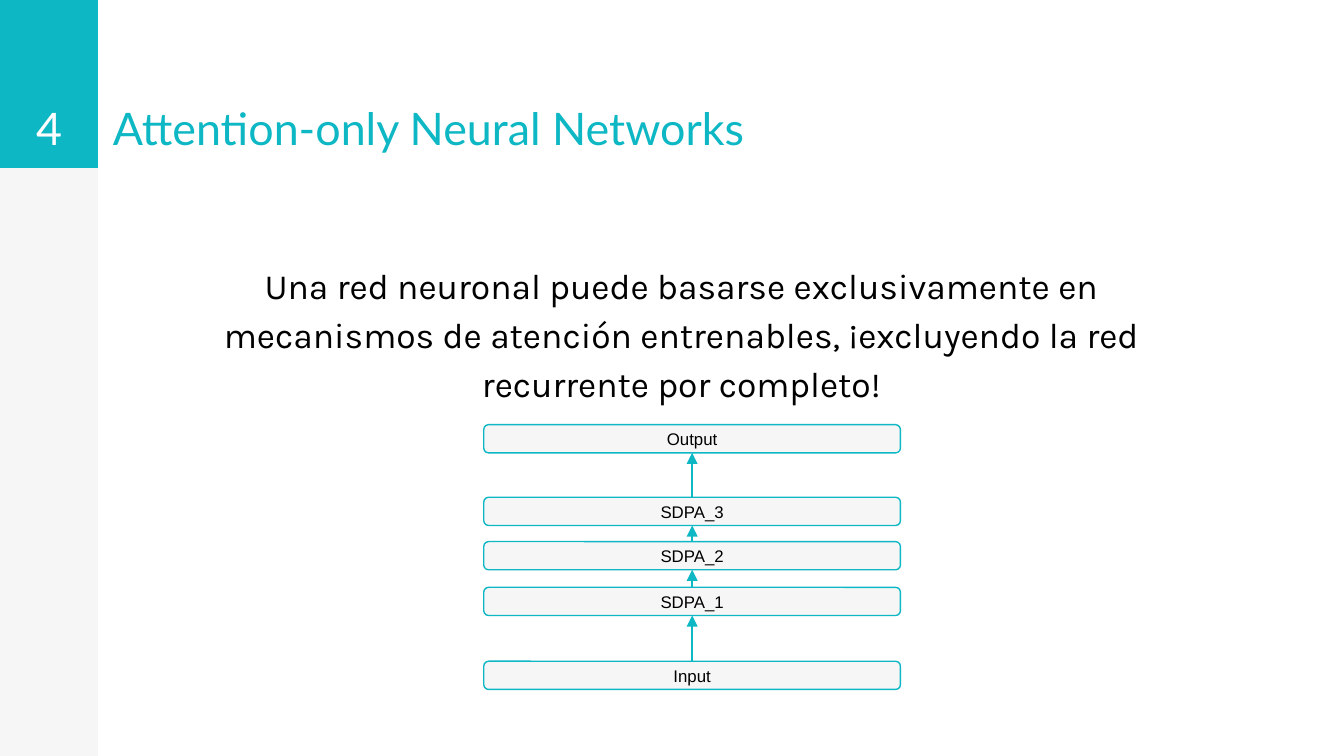
from dataclasses import dataclass
from itertools import pairwise

from lxml.etree import SubElement
from pptx import Presentation
from pptx.dml.color import RGBColor
from pptx.enum.shapes import MSO_CONNECTOR, MSO_SHAPE
from pptx.enum.text import MSO_ANCHOR, MSO_AUTO_SIZE, PP_ALIGN
from pptx.oxml.ns import qn
from pptx.util import Inches, Pt

TEAL, GREY, WHITE, BLACK = "0DB7C4", "F6F6F6", "FFFFFF", "000000"
SLIDE_WIDTH = 10
SLIDE_HEIGHT = SLIDE_WIDTH * 9 / 16
LAYER_LEFT, LAYER_WIDTH, LAYER_HEIGHT = 3.6, 3.1, 0.21
SIDEBAR = (0, 0, 0.73, SLIDE_HEIGHT)
PAGE_BOX = (0, 0, 0.73, 1.25)


@dataclass(frozen=True)
class TextStyle:
    font: str
    size: float
    color: str
    align: PP_ALIGN = PP_ALIGN.CENTER
    anchor: MSO_ANCHOR = MSO_ANCHOR.TOP


@dataclass(frozen=True)
class Layer:
    label: str
    top: float


PAGE = TextStyle("Lato", 24, WHITE, anchor=MSO_ANCHOR.BOTTOM)
TITLE = TextStyle("Lato", 24, TEAL, PP_ALIGN.LEFT, MSO_ANCHOR.BOTTOM)
STATEMENT = TextStyle("Karla", 19, BLACK)
LABEL = TextStyle("Arial", 9, BLACK, anchor=MSO_ANCHOR.MIDDLE)

LAYERS = [
    Layer("Input", 4.92),
    Layer("SDPA_1", 4.37),
    Layer("SDPA_2", 4.03),
    Layer("SDPA_3", 3.7),
    Layer("Output", 3.16),
]


def rgb(color: str) -> RGBColor:
    return RGBColor.from_string(color)


def set_attrs(obj, values: dict) -> None:
    for name, value in values.items():
        setattr(obj, name, value)


def write(sp, text: str, style: TextStyle):
    tf = sp.text_frame
    set_attrs(tf, {
        "word_wrap": True,
        "auto_size": MSO_AUTO_SIZE.NONE,
        "vertical_anchor": style.anchor,
        "margin_left": Inches(0.1),
        "margin_top": Inches(0.1),
        "margin_right": Inches(0.1),
        "margin_bottom": Inches(0.1),
    })
    p = tf.paragraphs[0]
    p.alignment = style.align
    r = p.add_run()
    r.text = text
    set_attrs(r.font, {"name": style.font, "size": Pt(style.size)})
    r.font.color.rgb = rgb(style.color)
    return p


def add_text(slide, box: tuple, text: str, style: TextStyle):
    return write(slide.shapes.add_textbox(*map(Inches, box)), text, style)


def add_box(slide, kind: MSO_SHAPE, box: tuple, fill: str, line: str | None = None):
    sp = slide.shapes.add_shape(kind, *map(Inches, box))
    sp.shadow.inherit = False
    sp.fill.solid()
    sp.fill.fore_color.rgb = rgb(fill)
    if line:
        sp.line.color.rgb = rgb(line)
        sp.line.width = Pt(0.75)
    else:
        sp.line.fill.background()
    return sp


def add_layer(slide, layer: Layer):
    box = (LAYER_LEFT, layer.top, LAYER_WIDTH, LAYER_HEIGHT)
    sp = add_box(slide, MSO_SHAPE.ROUNDED_RECTANGLE, box, GREY, TEAL)
    sp.adjustments[0] = 0.17
    write(sp, layer.label, LABEL)
    return sp


def add_arrow(slide, lower, upper) -> None:
    cx = slide.shapes.add_connector(MSO_CONNECTOR.STRAIGHT, 0, 0, 0, 0)
    cx.begin_connect(lower, 0)
    cx.end_connect(upper, 2)
    cx.line.color.rgb = rgb(TEAL)
    cx.line.width = Pt(0.75)
    line = cx._element.spPr.find(qn("a:ln"))
    SubElement(line, qn("a:tailEnd"), type="triangle")
    SubElement(cx._element.spPr, qn("a:effectLst"))


def main() -> None:
    prs = Presentation()
    set_attrs(prs, {
        "slide_width": Inches(SLIDE_WIDTH),
        "slide_height": Inches(SLIDE_HEIGHT),
    })
    slide = prs.slides.add_slide(prs.slide_layouts[5])

    add_box(slide, MSO_SHAPE.RECTANGLE, SIDEBAR, GREY)
    add_box(slide, MSO_SHAPE.RECTANGLE, PAGE_BOX, TEAL)
    add_text(slide, PAGE_BOX, "4", PAGE)

    title = slide.shapes.title
    set_attrs(title, {
        "left": Inches(0.74),
        "top": Inches(0.77),
        "width": Inches(6.78),
        "height": Inches(0.48),
    })
    write(title, "Attention-only Neural Networks", TITLE)

    p = add_text(
        slide,
        (1.18, 1.82, 7.78, 1.26),
        "Una red neuronal puede basarse exclusivamente en mecanismos de atención "
        "entrenables, ¡excluyendo la red recurrente por completo!",
        STATEMENT,
    )
    set_attrs(p, {"line_spacing": 1.15, "space_after": Pt(12)})

    layers = [add_layer(slide, layer) for layer in LAYERS]
    for lower, upper in pairwise(layers):
        add_arrow(slide, lower, upper)

    prs.save("out.pptx")


if __name__ == "__main__":
    main()
